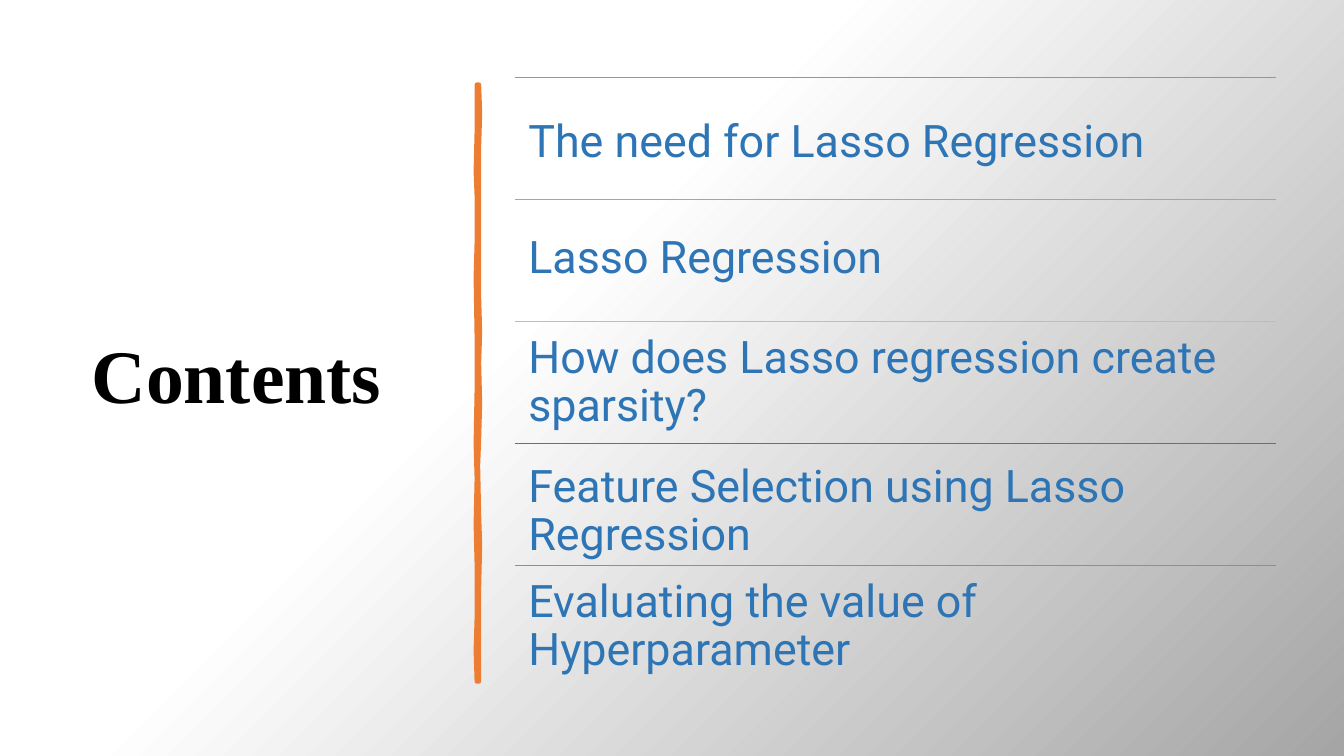
from lxml.etree import SubElement
from pptx import Presentation
from pptx.dml.color import RGBColor
from pptx.enum.shapes import MSO_CONNECTOR
from pptx.enum.text import MSO_ANCHOR
from pptx.oxml.ns import qn
from pptx.util import Inches, Pt

TOPICS = [
    ("The need for Lasso Regression", "ED7D31", 1.05),
    ("Lasso Regression", "A5A5A5", 2.2),
    ("How does Lasso regression create sparsity?", "FFC000", 3.19),
    ("Feature Selection using Lasso Regression", "4472C4", 4.47),
    ("Evaluating the value of Hyperparameter", "70AD47", 5.61),
]
TOPIC_LEFT, TOPIC_WIDTH = 5.11, 7.55
FIRST_RULE_TOP, ROW_HEIGHT = 0.77, 1.21

BRUSH_RIGHT = [
    (4.75, 0.84), (4.76, 1.12), (4.75, 1.46), (4.75, 2.26), (4.75, 2.94),
    (4.76, 3.3), (4.75, 3.6), (4.76, 4.0), (4.75, 4.36), (4.74, 4.62),
    (4.75, 5.1), (4.76, 5.4), (4.75, 5.84), (4.75, 6.76),
]
BRUSH_LEFT = [
    (4.73, 6.76), (4.72, 6.45), (4.73, 6.13), (4.73, 5.6), (4.72, 5.2),
    (4.73, 4.75), (4.72, 4.4), (4.73, 3.86), (4.73, 3.35), (4.72, 2.75),
    (4.73, 2.4), (4.73, 1.95), (4.72, 1.7), (4.73, 1.3), (4.73, 0.84),
]


def color(hex_value):
    return RGBColor.from_string(hex_value)


def paint_background(slide):
    fill = slide.background.fill
    fill.gradient()
    fill.gradient_angle = 315
    for stop, (position, shade) in zip(fill.gradient_stops, [(0.4, "FFFFFF"), (1, "A5A5A5")]):
        stop.position = position
        stop.color.rgb = color(shade)


def add_text(slide, text, left, top, width, height, font_name, size, shade,
             inset=0.1, anchor=MSO_ANCHOR.TOP, bold=False):
    frame = slide.shapes.add_textbox(
        Inches(left), Inches(top), Inches(width), Inches(height)).text_frame
    frame.word_wrap = True
    frame.vertical_anchor = anchor
    frame.margin_left = frame.margin_right = Inches(inset)
    frame.margin_top = frame.margin_bottom = Inches(inset)
    paragraph = frame.paragraphs[0]
    paragraph.line_spacing = 0.9
    run = paragraph.add_run()
    run.text = text
    run.font.name = font_name
    run.font.size = Pt(size)
    run.font.bold = bold
    run.font.color.rgb = color(shade)


def add_rule(slide, left, top, width, shade):
    rule = slide.shapes.add_connector(
        MSO_CONNECTOR.STRAIGHT, Inches(left), Inches(top), Inches(left + width), Inches(top))
    rule.line.color.rgb = color(shade)
    rule.line.width = Pt(1)
    SubElement(rule._element.spPr, qn("a:effectLst"))


def add_brush_stroke(slide, outline, shade):
    points = [(Inches(x), Inches(y)) for x, y in outline]
    builder = slide.shapes.build_freeform(*points[0])
    builder.add_line_segments(points[1:], close=True)
    stroke = builder.convert_to_shape()
    stroke.shadow.inherit = False
    stroke.fill.solid()
    stroke.fill.fore_color.rgb = color(shade)
    stroke.line.color.rgb = color(shade)
    stroke.line.width = Pt(3.25)
    SubElement(stroke.line._get_or_add_ln(), qn("a:round"))


def main():
    deck = Presentation()
    deck.slide_width, deck.slide_height = Inches(13.33), Inches(7.5)
    slide = deck.slides.add_slide(deck.slide_layouts[6])
    paint_background(slide)
    add_text(slide, "Contents", 0.81, 2.73, 3.74, 2.05, "Times New Roman", 54, "000000",
             anchor=MSO_ANCHOR.MIDDLE, bold=True)
    add_brush_stroke(slide, BRUSH_RIGHT + BRUSH_LEFT, "ED7D31")
    for row, (topic, rule_color, text_top) in enumerate(TOPICS):
        add_rule(slide, TOPIC_LEFT, FIRST_RULE_TOP + row * ROW_HEIGHT, TOPIC_WIDTH, rule_color)
        add_text(slide, topic, TOPIC_LEFT, text_top, TOPIC_WIDTH, ROW_HEIGHT,
                 "Roboto", 32, "2E75B6", inset=0.13)
    deck.save("out.pptx")


if __name__ == "__main__":
    main()
